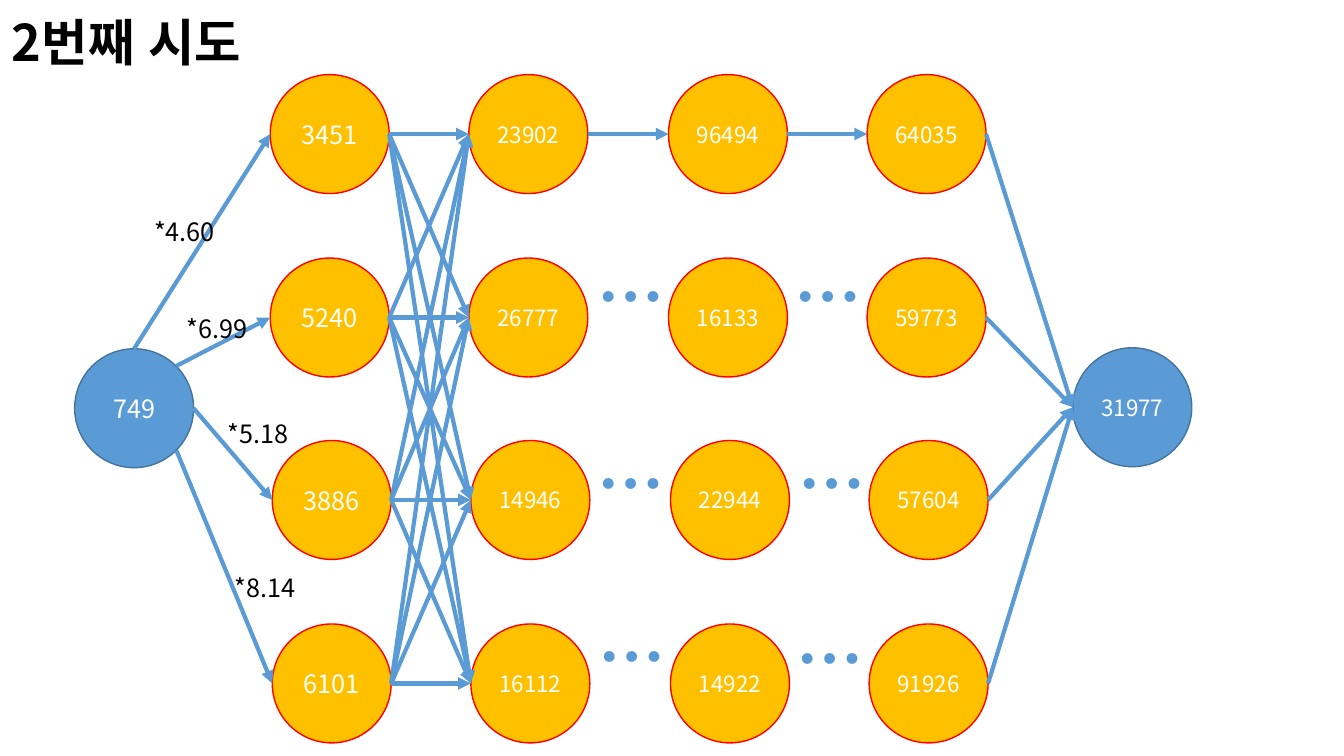
import math
from typing import NamedTuple

from lxml import etree
from pptx import Presentation
from pptx import util as u
from pptx.dml.color import RGBColor
from pptx.enum import lang, shapes, text
from pptx.oxml import ns

PX = 9144
FONT = "Noto Sans CJK KR"
BLUE, NAVY, GOLD, RED = "5B9BD5", "43739E", "FFC000", "FF0000"
WHITE, BLACK = "FFFFFF", "000000"
DIAMETER = 118
RADIUS = DIAMETER // 2


class Node(NamedTuple):
    value: str
    left: int
    top: int
    size: int = 16
    fill: str = GOLD
    line: str = RED

    def rim(self, degrees: int) -> tuple[int, int]:
        """Return the point on the circle, clockwise from the right."""
        a = math.radians(degrees)
        return (round(self.left + RADIUS + RADIUS * math.cos(a)),
                round(self.top + RADIUS + RADIUS * math.sin(a)))


class Label(NamedTuple):
    words: str
    left: int
    top: int
    width: int
    height: int
    size: int
    color: str = BLACK
    bold: bool = False
    wrap: bool = False


GRID = [
    ["3451", "23902", "96494", "64035"],
    ["5240", "26777", "16133", "59773"],
    ["3886", "14946", "22944", "57604"],
    ["6101", "16112", "14922", "91926"],
]
ROWS = [
    [Node(value, 268 + round(197.4 * c) + 2 * (r // 2), 74 + round(181.7 * r),
          16 if c else 18) for c, value in enumerate(values)]
    for r, values in enumerate(GRID)
]
START = Node("749", 74, 346, 18, BLUE, NAVY)
END = Node("31977", 1064, 345, 16, BLUE, NAVY)
EXIT_ANGLES = [-90, -45, 0, 45]

TITLE = Label("2번째 시도", 2, 6, 269, 71, 36, bold=True)
FACTORS = [Label(words, left, top, 115, 40, 18, wrap=True) for words, left, top in [
    ("*6.99", 175, 306), ("*4.60", 143, 210), ("*5.18", 216, 410), ("*8.14", 223, 563)]]
DOTS = [Label("…", left, top, 80, 91, 48, BLUE, True) for left, top in [
    (583, 248), (778, 248), (583, 434), (782, 434), (584, 606), (780, 607)]]


def px(n: float) -> u.Emu:
    """Turn px into EMU."""
    return u.Emu(round(n * PX))


def rgb(color: str) -> RGBColor:
    """Turn a hex string into a colour."""
    return RGBColor.from_string(color)


def style(tf, words: str, size: int, color: str, bold: bool = False) -> None:
    """Fill a text frame with one formatted run."""
    tf.text = words
    r = tf.paragraphs[0].runs[0]
    r.font.name = FONT
    r.font.size = u.Pt(size)
    r.font.bold = bold
    r.font.color.rgb = rgb(color)
    r.font.language_id = lang.MSO_LANGUAGE_ID.KOREAN
    latin = r.font._element.find(ns.qn("a:latin"))
    ea = etree.Element(ns.qn("a:ea"), typeface=FONT)
    latin.addnext(ea)


def draw_node(s, node: Node) -> None:
    """Draw a circle with its value."""
    sp = s.shapes.add_shape(shapes.MSO_SHAPE.OVAL, px(node.left), px(node.top),
                            px(DIAMETER), px(DIAMETER))
    sp.shadow.inherit = False
    sp.fill.solid()
    sp.fill.fore_color.rgb = rgb(node.fill)
    sp.line.color.rgb = rgb(node.line)
    sp.line.width = u.Pt(1)
    tf = sp.text_frame
    tf.margin_left = tf.margin_right = 0
    tf.vertical_anchor = text.MSO_ANCHOR.MIDDLE
    style(tf, node.value, node.size, WHITE)
    tf.paragraphs[0].alignment = text.PP_ALIGN.CENTER


def draw_arrow(s, source: Node, target: Node, angle: int = 0) -> None:
    """Draw an arrow from a rim angle to the left of the target."""
    cx = s.shapes.add_connector(shapes.MSO_CONNECTOR.STRAIGHT,
                                *map(px, source.rim(angle) + target.rim(180)))
    cx.line.color.rgb = rgb(BLUE)
    cx.line.width = u.Pt(3)
    ln = cx.line._get_or_add_ln()
    etree.SubElement(ln, ns.qn("a:tailEnd"), type="triangle")
    etree.SubElement(cx._element.spPr, ns.qn("a:effectLst"))


def draw_label(s, label: Label) -> None:
    """Draw a text box."""
    sp = s.shapes.add_textbox(px(label.left), px(label.top),
                              px(label.width), px(label.height))
    tf = sp.text_frame
    tf.word_wrap = label.wrap
    tf.auto_size = text.MSO_AUTO_SIZE.SHAPE_TO_FIT_TEXT
    style(tf, label.words, label.size, label.color, label.bold)


def main() -> None:
    """Build the slide and save it."""
    prs = Presentation()
    prs.slide_width, prs.slide_height = px(1333), px(750)
    s = prs.slides.add_slide(prs.slide_layouts[6])

    for node in [END, *(n for row in ROWS for n in row), START]:
        draw_node(s, node)

    for row, angle in zip(ROWS, EXIT_ANGLES):
        draw_arrow(s, START, row[0], angle)
    for row in ROWS:
        for other in ROWS:
            draw_arrow(s, row[0], other[1])
    for source, target in zip(ROWS[0][1:], ROWS[0][2:]):
        draw_arrow(s, source, target)
    for row in ROWS:
        draw_arrow(s, row[-1], END)

    for label in [*DOTS, TITLE, *FACTORS]:
        draw_label(s, label)
    prs.save("out.pptx")


if __name__ == "__main__":
    main()
